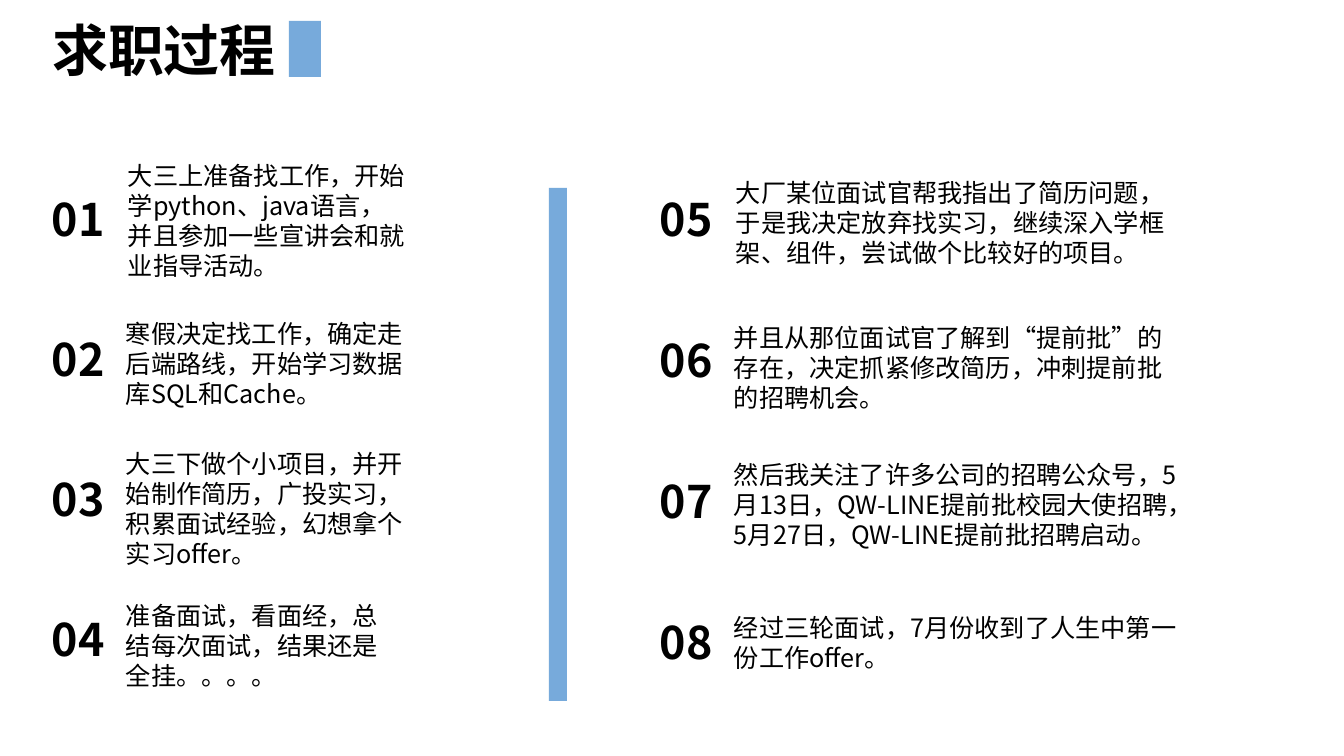
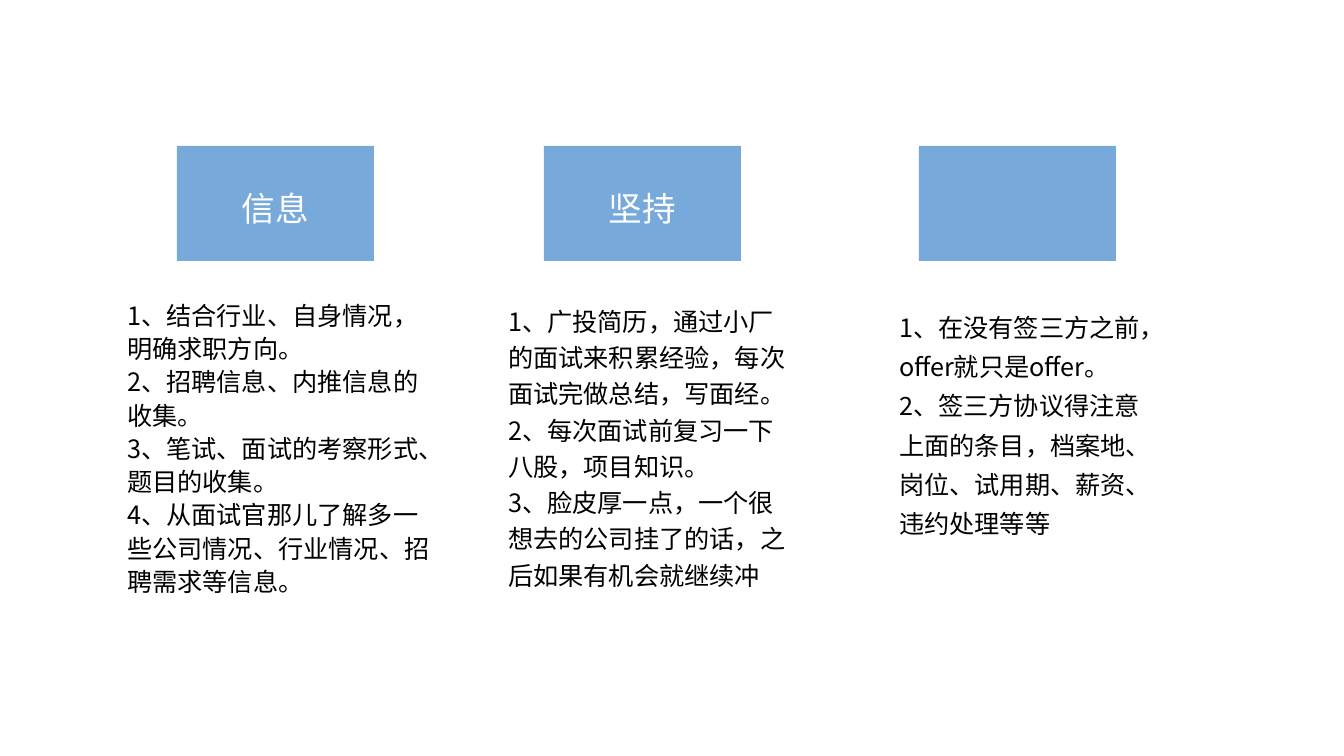
from lxml import etree
from pptx import Presentation
from pptx.dml.color import RGBColor
from pptx.enum.shapes import MSO_SHAPE as SHAPE
from pptx.enum.text import MSO_ANCHOR as ANCHOR, MSO_AUTO_SIZE as AUTOSIZE, PP_ALIGN as ALIGN
from pptx.oxml.ns import qn
from pptx.util import Pt

PX = 914400 / 100.8
FONT = "Noto Sans CJK SC"
BLUE = RGBColor(0x77, 0xAA, 0xDB)
BLACK = RGBColor(0, 0, 0)
WHITE = RGBColor(255, 255, 255)


def px(*lengths):
    return [round(length * PX) for length in lengths]


def write(shape, lines, size, color=BLACK, bold=False, align=ALIGN.LEFT, spacing=1.0):
    """Fill a shape with plain, unbulleted paragraphs in one style."""
    frame = shape.text_frame
    frame.text = "\n".join(lines)
    for paragraph in frame.paragraphs:
        paragraph.alignment = align
        paragraph.line_spacing = spacing
        paragraph.space_before = Pt(0)
        font = paragraph.font
        font.size, font.bold, font.name = Pt(size), bold, FONT
        font.color.rgb = color
        props = paragraph._p.get_or_add_pPr()
        props.set("marL", "0")
        props.set("indent", "0")
        defaults = props.find(qn("a:defRPr"))
        etree.SubElement(defaults, qn("a:ea")).set("typeface", FONT)
        defaults.addprevious(etree.Element(qn("a:buNone")))
    return frame


def add_block(slide, *box):
    block = slide.shapes.add_shape(SHAPE.RECTANGLE, *px(*box))
    block.shadow.inherit = False
    block.fill.solid()
    block.fill.fore_color.rgb = BLUE
    block.line.fill.background()
    return block


prs = Presentation()
prs.slide_width, prs.slide_height = px(1344, 756)

# Slide 1: the job search, step by step
process = prs.slides.add_slide(prs.slide_layouts.get_by_name("Title Only"))
heading = process.shapes.title
heading.left, heading.top, heading.width, heading.height = px(42, 10, 244, 78)
heading_frame = write(heading, ["求职过程"], 40, bold=True)
heading_frame.word_wrap = False
heading_frame.auto_size = AUTOSIZE.NONE
add_block(process, 289, 21, 32, 56)
add_block(process, 549, 188, 18, 513)

# Each column: number left, number width, row step, then (left, top, width, lines, text)
columns = [
    (42, 90, 140, [
        (118, 155, 302, 4, "大三上准备找工作，开始学python、java语言，并且参加一些宣讲会和就业指导活动。"),
        (116, 313, 302, 3, "寒假决定找工作，确定走后端路线，开始学习数据库SQL和Cache。"),
        (116, 443, 302, 4, "大三下做个小项目，并开始制作简历，广投实习，积累面试经验，幻想拿个实习offer。"),
        (116, 595, 293, 3, "准备面试，看面经，总结每次面试，结果还是全挂。。。。"),
    ]),
    (650, 76, 141, [
        (726, 172, 464, 3, "大厂某位面试官帮我指出了简历问题，于是我决定放弃找实习，继续深入学框架、组件，尝试做个比较好的项目。"),
        (724, 317, 464, 3, "并且从那位面试官了解到“提前批”的存在，决定抓紧修改简历，冲刺提前批的招聘机会。"),
        (724, 454, 464, 4, "然后我关注了许多公司的招聘公众号，5月13日，QW-LINE提前批校园大使招聘，5月27日，QW-LINE提前批招聘启动。"),
        (724, 607, 464, 2, "经过三轮面试，7月份收到了人生中第一份工作offer。"),
    ]),
]
step_number = 0
for number_left, number_width, row_step, steps in columns:
    for row, (left, top, width, line_count, story) in enumerate(steps):
        step_number += 1
        number = process.shapes.add_textbox(
            *px(number_left, 187 + row * row_step, number_width, 65))
        write(number, [f"{step_number:02}"], 32, bold=True).word_wrap = True
        step = process.shapes.add_textbox(*px(left, top, width, 12 + 30 * line_count))
        write(step, [story], 18).word_wrap = True

# Slide 2: advice in three columns
advice = prs.slides.add_slide(prs.slide_layouts.get_by_name("Comparison"))
unused_title, *lists, unused_body = advice.placeholders
for unused in (unused_title, unused_body):
    unused.element.getparent().remove(unused.element)

# Each topic: card left, label, list left, list width, tips
topics = [
    (177, "信息", 117, 326, [
        "1、结合行业、自身情况，明确求职方向。",
        "2、招聘信息、内推信息的收集。",
        "3、笔试、面试的考察形式、题目的收集。",
        "4、从面试官那儿了解多一些公司情况、行业情况、招聘需求等信息。",
    ]),
    (544, "坚持", 498, 304, [
        "1、广投简历，通过小厂的面试来积累经验，每次面试完做总结，写面经。",
        "2、每次面试前复习一下八股，项目知识。",
        "3、脸皮厚一点，一个很想去的公司挂了的话，之后如果有机会就继续冲",
    ]),
    (919, "", 889, 261, [
        "1、在没有签三方之前，offer就只是offer。2、签三方协议得注意上面的条目，档案地、岗位、试用期、薪资、违约处理等等",
    ]),
]
for order, (card_left, label, left, width, tips) in enumerate(topics):
    card = add_block(advice, card_left, 146, 197, 115)
    if label:
        card_frame = write(card, [label], 24, WHITE, align=ALIGN.CENTER)
        card_frame.vertical_anchor = ANCHOR.MIDDLE
        card_frame.margin_top, card_frame.margin_bottom = px(10, 0)
    tip_list = lists[order]
    tip_list.left, tip_list.top, tip_list.width, tip_list.height = px(
        left, 292 + 3 * order, width, 312)
    tip_frame = write(tip_list, tips, 18, spacing=1.1 + 0.1 * order)
    tip_frame.vertical_anchor = ANCHOR.TOP
    tip_frame.word_wrap = True
    tip_frame.auto_size = AUTOSIZE.NONE

prs.save("out.pptx")
